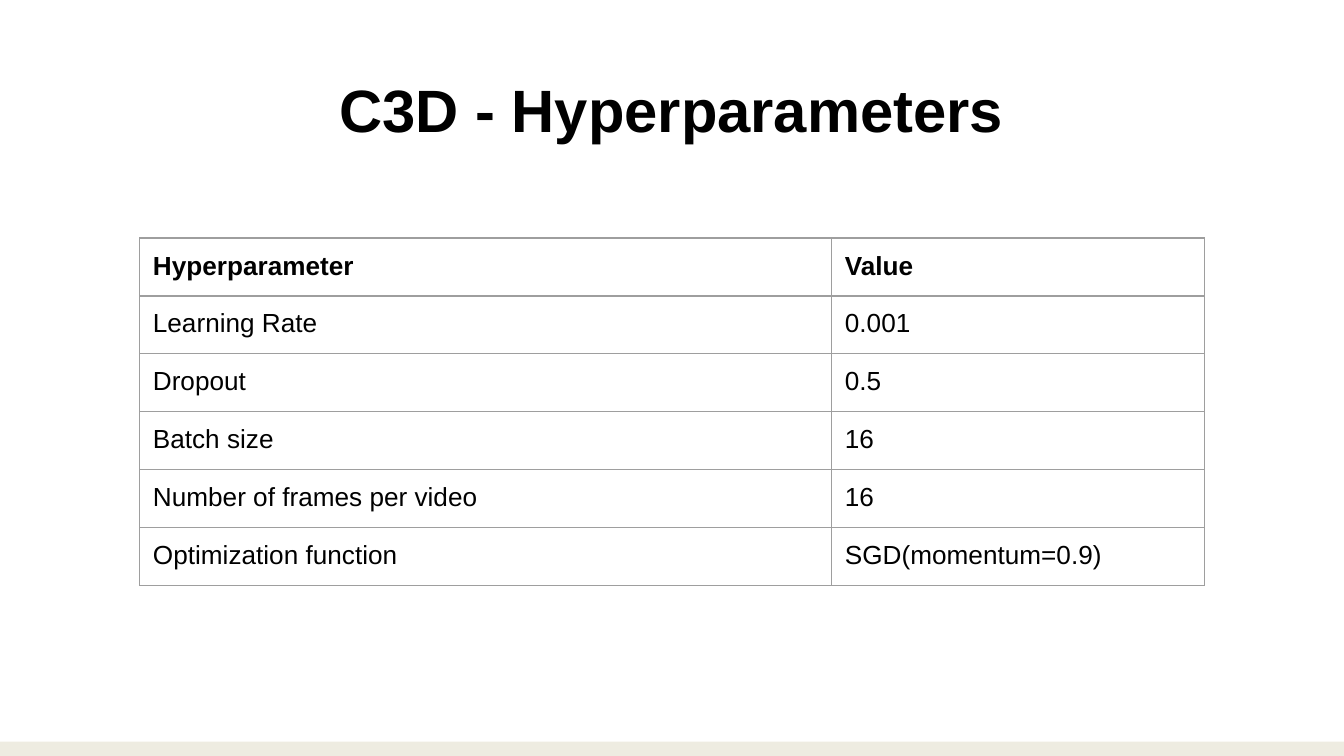
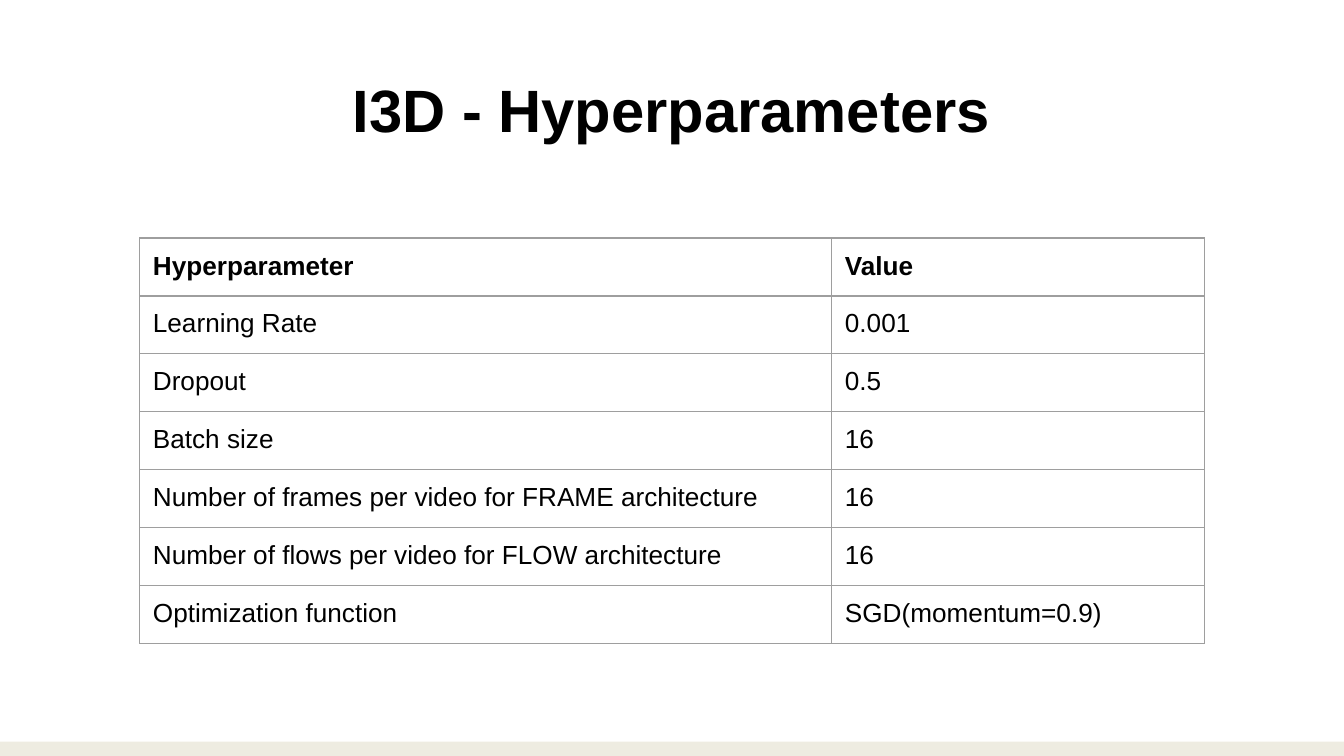
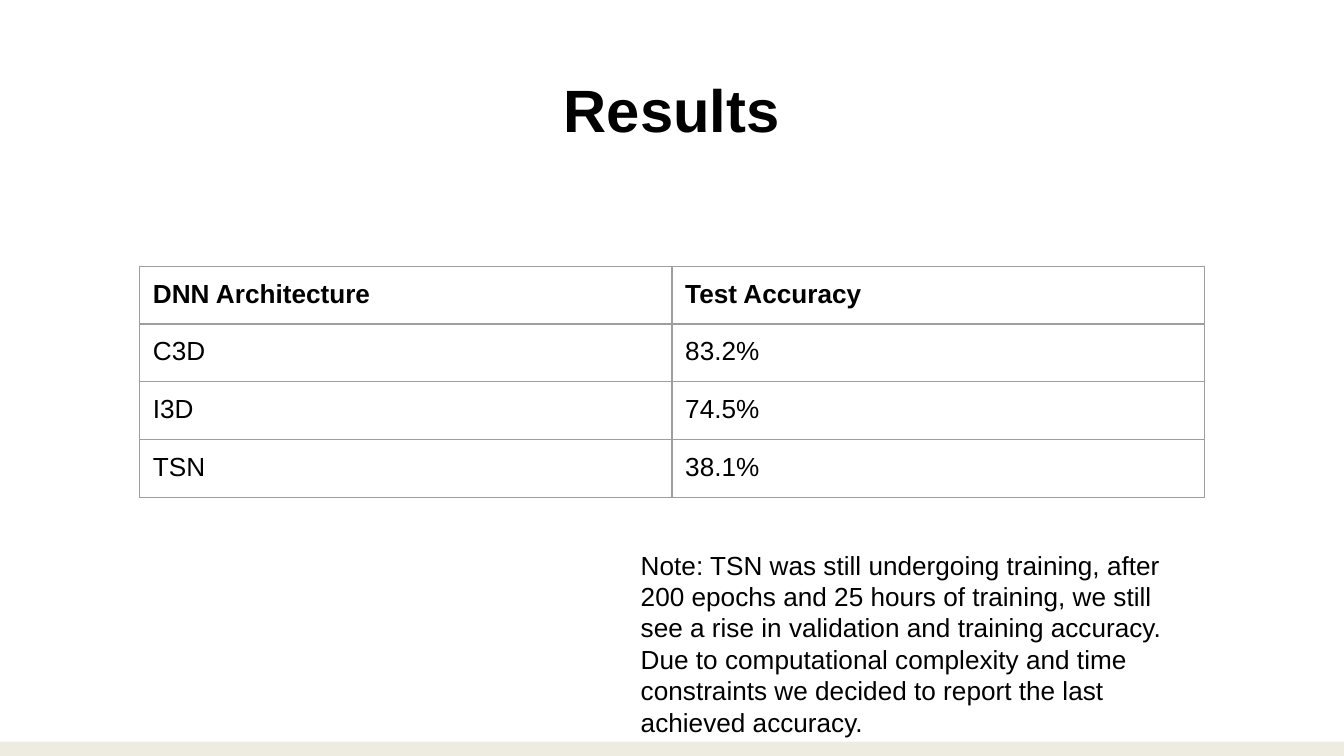
from dataclasses import dataclass

from lxml import etree
from pptx import Presentation
from pptx.dml.color import RGBColor
from pptx.enum.shapes import MSO_SHAPE
from pptx.enum.text import MSO_ANCHOR, PP_ALIGN
from pptx.oxml.ns import qn
from pptx.util import Cm, Pt

RECTANGLE = MSO_SHAPE.RECTANGLE
MIDDLE, TOP = MSO_ANCHOR.MIDDLE, MSO_ANCHOR.TOP
CENTER, LEFT = PP_ALIGN.CENTER, PP_ALIGN.LEFT


@dataclass(frozen=True)
class Theme:
    font: str = "Arial"
    ink: str = "000000"
    band: str = "EEECE1"
    border: str = "9E9E9E"
    border_width: float = 0.75
    title_size: int = 32
    body_size: int = 14
    inset: float = 0.25


@dataclass(frozen=True)
class Box:
    """A region of the slide, in centimetres."""
    left: float
    top: float
    width: float
    height: float

    def emu(self):
        return Cm(self.left), Cm(self.top), Cm(self.width), Cm(self.height)


THEME = Theme()
SLIDE = Box(0, 0, 25.4, 14.29)
BAND = Box(0, 14.02, SLIDE.width, 0.27)
TITLE = Box(0.86, 0.89, 23.67, 2.31)
NOTE = Box(11.86, 10.13, 10.87, 2.49)
TABLE_LEFT, TABLE_WIDTH, ROW_HEIGHT = 2.64, 20.12, 1.06
HYPERPARAMETER_TOP, RESULTS_TOP = 4.5, 5.03
HYPERPARAMETER_SHARES, RESULTS_SHARES = (0.65, 0.35), (0.5, 0.5)

HEADING = ("Hyperparameter", "Value")
COMMON_ROWS = [("Learning Rate", "0.001"), ("Dropout", "0.5"), ("Batch size", "16")]
OPTIMIZER = ("Optimization function", "SGD(momentum=0.9)")
C3D_ROWS = [HEADING, *COMMON_ROWS, ("Number of frames per video", "16"), OPTIMIZER]
I3D_ROWS = [
    HEADING,
    *COMMON_ROWS,
    ("Number of frames per video for FRAME architecture", "16"),
    ("Number of flows per video for FLOW architecture", "16"),
    OPTIMIZER,
]
RESULT_ROWS = [
    ("DNN Architecture", "Test Accuracy"),
    ("C3D", "83.2%"),
    ("I3D", "74.5%"),
    ("TSN", "38.1%"),
]
NOTE_TEXT = (
    "Note: TSN was still undergoing training, after 200 epochs and 25 hours of "
    "training, we still see a rise in validation and training accuracy. Due to "
    "computational complexity and time constraints we decided to report the last "
    "achieved accuracy."
)


def write(frame, text, size, bold=False, align=LEFT):
    frame.text = text
    frame.word_wrap = True
    para = frame.paragraphs[0]
    para.alignment = align
    for span in para.runs:
        span.font.name = THEME.font
        span.font.size = Pt(size)
        span.font.bold = bold
        span.font.color.rgb = RGBColor.from_string(THEME.ink)


def set_margins(holder, side, upright):
    holder.margin_left = holder.margin_right = Cm(side)
    holder.margin_top = holder.margin_bottom = Cm(upright)


def add_text(page, box, text, size, upright, anchor=TOP, **style):
    frame = page.shapes.add_textbox(*box.emu()).text_frame
    set_margins(frame, THEME.inset, upright)
    frame.vertical_anchor = anchor
    write(frame, text, size, **style)


def add_band(page, box):
    band = page.shapes.add_shape(RECTANGLE, *box.emu())
    band.shadow.inherit = False
    band.fill.solid()
    band.fill.fore_color.rgb = RGBColor.from_string(THEME.band)
    band.line.fill.background()


def add_borders(cell):
    properties = cell._tc.get_or_add_tcPr()
    for side in ("lnL", "lnR", "lnT", "lnB"):
        line = etree.SubElement(properties, qn(f"a:{side}"), w=str(Pt(THEME.border_width)))
        fill = etree.SubElement(line, qn("a:solidFill"))
        etree.SubElement(fill, qn("a:srgbClr"), val=THEME.border)


def add_grid(page, box, rows, shares):
    """Fill the box with a bordered table; shares divide its width into columns."""
    table = page.shapes.add_table(len(rows), len(shares), *box.emu()).table
    table.horz_banding = False
    for column, share in zip(table.columns, shares):
        column.width = Cm(box.width * share)
    for row_index, values in enumerate(rows):
        table.rows[row_index].height = Cm(box.height / len(rows))
        for column_index, value in enumerate(values):
            cell = table.cell(row_index, column_index)
            set_margins(cell, THEME.inset, THEME.inset)
            write(cell.text_frame, value, THEME.body_size, bold=row_index == 0)
            add_borders(cell)
            cell.fill.background()


def add_table_page(deck, title, rows, top, shares):
    page = deck.slides.add_slide(deck.slide_layouts[6])
    add_band(page, BAND)
    add_text(page, TITLE, title, THEME.title_size, THEME.inset / 2,
             anchor=MIDDLE, bold=True, align=CENTER)
    box = Box(TABLE_LEFT, top, TABLE_WIDTH, ROW_HEIGHT * len(rows))
    add_grid(page, box, rows, shares)
    return page


def main():
    deck = Presentation()
    deck.slide_width, deck.slide_height = Cm(SLIDE.width), Cm(SLIDE.height)
    for name, rows in (("C3D", C3D_ROWS), ("I3D", I3D_ROWS)):
        add_table_page(deck, f"{name} - Hyperparameters", rows,
                       HYPERPARAMETER_TOP, HYPERPARAMETER_SHARES)
    results = add_table_page(deck, "Results", RESULT_ROWS, RESULTS_TOP, RESULTS_SHARES)
    add_text(results, NOTE, NOTE_TEXT, THEME.body_size, THEME.inset)
    deck.save("out.pptx")


if __name__ == "__main__":
    main()
